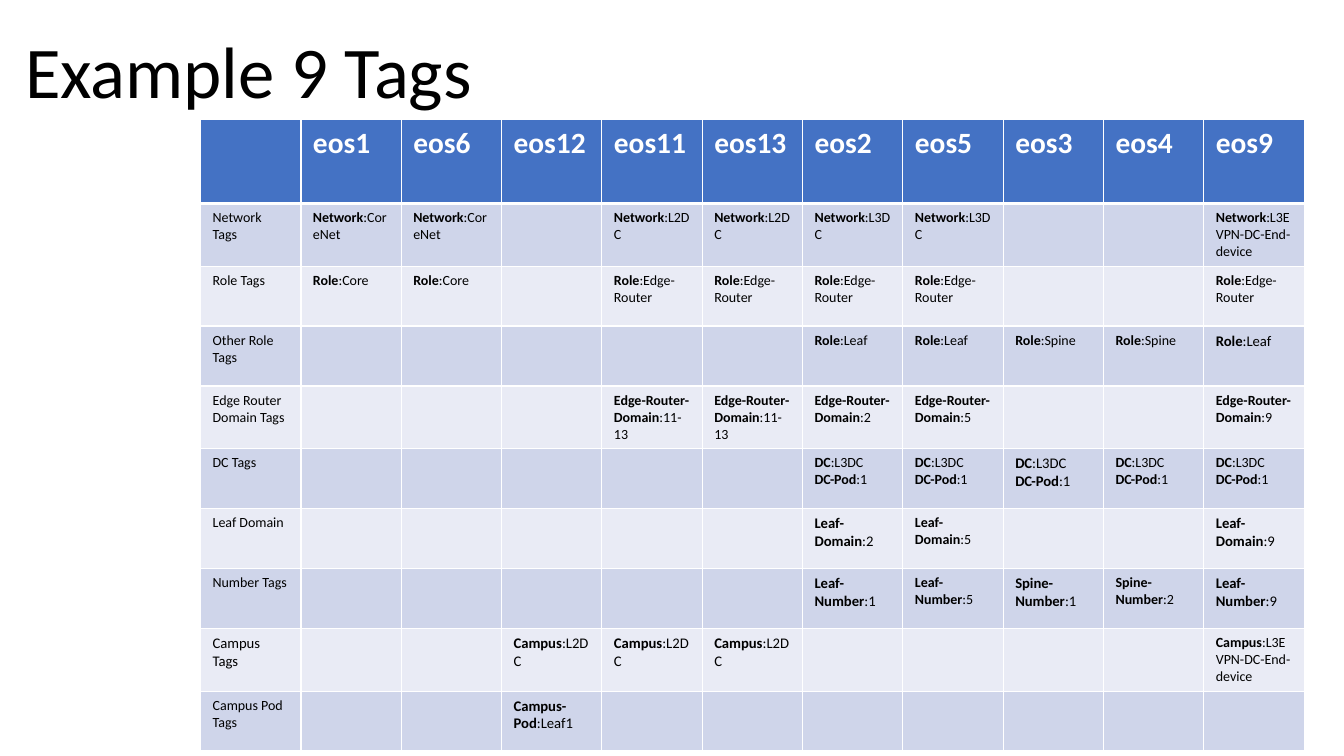
"""Builds a slide with a table of the tags held by each network device."""
from dataclasses import dataclass

from lxml import etree
from pptx import Presentation
from pptx import util as u
from pptx.dml import color
from pptx.enum import text
from pptx.oxml import ns


@dataclass(frozen=True)
class Theme:
    font: str = "Calibri"
    ink: str = "000000"
    white: str = "FFFFFF"
    head: str = "4472C4"
    bands: tuple = ("CFD5EA", "E9EBF5")
    title: float = 52
    host: float = 21
    body: float = 10
    large: float = 10.5


THEME = Theme()
HOSTS = [1, 6, 12, 11, 13, 2, 5, 3, 4, 9]
ROWS = [
    ("Network Tags", {"Network:CoreNet": [1, 6], "Network:L2DC": [11, 13],
                      "Network:L3DC": [2, 5], "Network:L3EVPN-DC-End-device": [9]}),
    ("Role Tags", {"Role:Core": [1, 6], "Role:Edge-Router": [11, 13, 2, 5, 9]}),
    ("Other Role Tags", {"Role:Leaf": [2, 5, 9], "Role:Spine": [3, 4]}),
    ("Edge Router Domain Tags", {"Edge-Router-Domain:11-13": [11, 13], "Edge-Router-Domain:2": [2],
                                 "Edge-Router-Domain:5": [5], "Edge-Router-Domain:9": [9]}),
    ("DC Tags", {"DC:L3DC\nDC-Pod:1": [2, 5, 3, 4, 9]}),
    ("Leaf Domain", {"Leaf-Domain:2": [2], "Leaf-Domain:5": [5], "Leaf-Domain:9": [9]}),
    ("Number Tags", {"Leaf-Number:1": [2], "Leaf-Number:5": [5], "Spine-Number:1": [3],
                     "Spine-Number:2": [4], "Leaf-Number:9": [9]}),
    ("Campus Tags", {"Campus:L2DC": [12, 11, 13], "Campus:L3EVPN-DC-End-device": [9]}),
    ("Campus Pod Tags", {"Campus-Pod:Leaf1": [12]}),
]
LARGE = {
    "Other Role Tags": [9],
    "DC Tags": [3],
    "Leaf Domain": [2, 9],
    "Number Tags": [2, 3, 9],
    "Campus Tags": [None, 12, 11, 13],
    "Campus Pod Tags": [12],
}


def write(frame, words, size=THEME.body, ink=THEME.ink, bold=False, space=1.0):
    """Fill a text frame, one paragraph a line, with the key before a colon in bold."""
    for n, line in enumerate(words.split("\n")):
        para = frame.add_paragraph() if n else frame.paragraphs[0]
        para.line_spacing = space
        key, colon, value = line.partition(":")
        for part, heavy in ((key, bold or bool(colon)), (colon + value, bold)):
            if part:
                run = para.add_run()
                run.text = part
                run.font.name = THEME.font
                run.font.size = u.Pt(size)
                run.font.bold = heavy
                run.font.color.rgb = color.RGBColor.from_string(ink)


def edge(cell, top=1, base=1):
    """Draw the white borders of a cell."""
    props = cell._tc.get_or_add_tcPr()
    for n, (side, width) in enumerate((("L", 1), ("R", 1), ("T", top), ("B", base))):
        line = etree.Element(ns.qn(f"a:ln{side}"), w=str(u.Pt(width)))
        fill = etree.SubElement(line, ns.qn("a:solidFill"))
        etree.SubElement(fill, ns.qn("a:srgbClr"), val=THEME.white)
        props.insert(n, line)


def paint(cell, fill, **sides):
    """Set the fill, margins and borders of a cell."""
    cell.fill.solid()
    cell.fill.fore_color.rgb = color.RGBColor.from_string(fill)
    cell.margin_left = cell.margin_right = u.Pt(8.64)
    cell.margin_top = cell.margin_bottom = u.Pt(4.32)
    edge(cell, **sides)


def add_title(slide, words):
    """Add the slide title."""
    box = slide.shapes.add_textbox(u.Pt(10.8), u.Pt(8.64), u.Pt(828), u.Pt(89.28))
    frame = box.text_frame
    frame.word_wrap = True
    frame.vertical_anchor = text.MSO_ANCHOR.MIDDLE
    write(frame, words, size=THEME.title, space=0.9)


def add_tags(slide):
    """Add the table of tags, one column a host."""
    width, head, body = 71.68, 60.2, 42.84
    cols, rows = len(HOSTS) + 1, len(ROWS) + 1
    grid = slide.shapes.add_table(rows, cols, u.Pt(143.3), u.Pt(85.2), u.Pt(width * cols),
                                  u.Pt(head + body * len(ROWS))).table
    grid.horz_banding = False
    for col in grid.columns:
        col.width = u.Pt(width)
    for n, row in enumerate(grid.rows):
        row.height = u.Pt(body if n else head)

    for x in range(cols):
        cell = grid.cell(0, x)
        paint(cell, THEME.head, base=3)
        if x:
            write(cell.text_frame, f"eos{HOSTS[x - 1]}", size=THEME.host, ink=THEME.white, bold=True)

    for y, (label, tags) in enumerate(ROWS, 1):
        words = {host: tag for tag, hosts in tags.items() for host in hosts}
        words[None] = label
        for x, host in enumerate([None] + HOSTS):
            cell = grid.cell(y, x)
            paint(cell, THEME.bands[(y - 1) % 2], top=3 if y == 1 else 1)
            if host in words:
                large = host in LARGE.get(label, [])
                write(cell.text_frame, words[host], size=THEME.large if large else THEME.body)


def main():
    """Build and save the slide."""
    deck = Presentation()
    deck.slide_width, deck.slide_height = u.Pt(960), u.Pt(540)
    slide = deck.slides.add_slide(deck.slide_layouts[6])
    add_title(slide, "Example 9 Tags")
    add_tags(slide)
    deck.save("out.pptx")


if __name__ == "__main__":
    main()
